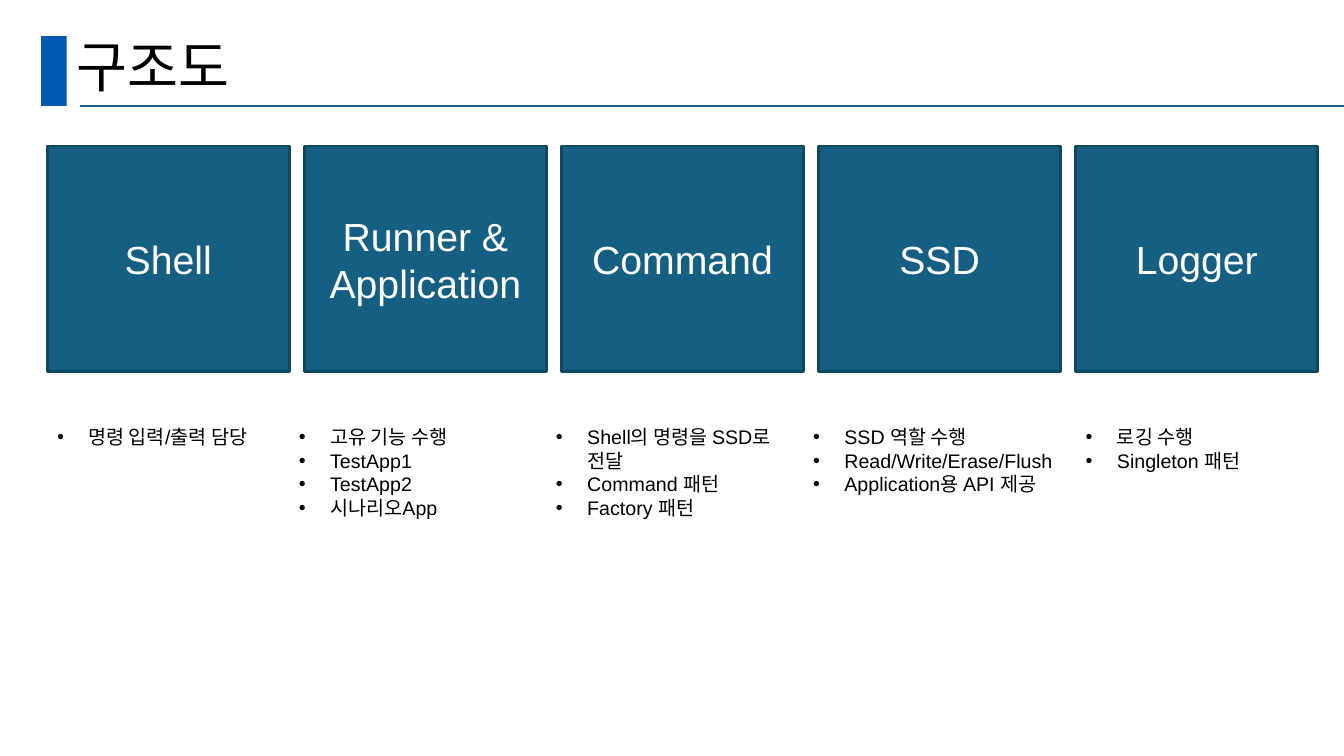
from lxml import etree
from pptx import Presentation
from pptx.dml.color import RGBColor
from pptx.enum.shapes import MSO_CONNECTOR, MSO_SHAPE
from pptx.enum.text import MSO_ANCHOR, MSO_AUTO_SIZE, PP_ALIGN
from pptx.oxml.ns import qn
from pptx.util import Cm, Pt

LEFT, CENTER = PP_ALIGN.LEFT, PP_ALIGN.CENTER
TOP, MIDDLE = MSO_ANCHOR.TOP, MSO_ANCHOR.MIDDLE
NO_AUTOFIT = MSO_AUTO_SIZE.NONE
RECTANGLE, STRAIGHT = MSO_SHAPE.RECTANGLE, MSO_CONNECTOR.STRAIGHT

BLACK = RGBColor(0x00, 0x00, 0x00)
WHITE = RGBColor(0xFF, 0xFF, 0xFF)
ACCENT_BLUE = RGBColor(0x00, 0x5A, 0xB4)
TEAL = RGBColor(0x15, 0x60, 0x82)
DARK_TEAL = RGBColor(0x10, 0x47, 0x60)

LATIN_FONT, KOREAN_FONT = "Arial", "Noto Sans CJK KR"
SLIDE_WIDTH, SLIDE_HEIGHT = Cm(33.87), Cm(19.05)
COLUMN_PITCH, BLOCK_WIDTH, BLOCK_HEIGHT = Cm(6.48), Cm(6.1), Cm(5.69)
LIST_DROP, LIST_WIDTH, LIST_HEIGHT = Cm(6.91), Cm(6.6), Cm(2.64)
BULLET_INDENT, LIST_SHIFT = Cm(0.79), Cm(-0.39)

COMPONENTS = [
    (["Shell"], Cm(0), ["명령 입력/출력 담당"]),
    (["Runner &", "Application"], LIST_SHIFT,
     ["고유 기능 수행", "TestApp1", "TestApp2", "시나리오App"]),
    (["Command"], LIST_SHIFT,
     ["Shell의 명령을 SSD로 전달", "Command 패턴", "Factory 패턴"]),
    (["SSD"], LIST_SHIFT,
     ["SSD 역할 수행", "Read/Write/Erase/Flush", "Application용 API 제공"]),
    (["Logger"], Cm(0), ["로깅 수행", "Singleton 패턴"]),
]


def add_bullet(paragraph):
    """Give a paragraph a hanging bullet."""
    properties = paragraph._p.get_or_add_pPr()
    properties.set("marL", str(BULLET_INDENT))
    properties.set("indent", str(-BULLET_INDENT))
    etree.SubElement(properties, qn("a:buFont"), typeface=LATIN_FONT)
    etree.SubElement(properties, qn("a:buChar"), char="•")


def write_text(shape, lines, size, color, font=LATIN_FONT, alignment=LEFT,
               anchor=TOP, line_spacing=None, bulleted=False):
    """Fill a shape with one formatted paragraph per line."""
    frame = shape.text_frame
    frame.word_wrap = True
    frame.auto_size = NO_AUTOFIT
    frame.vertical_anchor = anchor
    frame.text = "\n".join(lines)
    for paragraph in frame.paragraphs:
        paragraph.alignment = alignment
        paragraph.line_spacing = line_spacing
        if bulleted:
            add_bullet(paragraph)
        run = paragraph.runs[0]
        run.font.size = Pt(size)
        run.font.color.rgb = color
        run.font.name = font
        etree.SubElement(run.font._element, qn("a:ea"), typeface=KOREAN_FONT)


def add_rectangle(slide, left, top, width, height, fill, line=None):
    """Add a flat rectangle, outlined when a line colour is given."""
    shape = slide.shapes.add_shape(RECTANGLE, left, top, width, height)
    shape.shadow.inherit = False
    shape.fill.solid()
    shape.fill.fore_color.rgb = fill
    if line is None:
        shape.line.fill.background()
    else:
        shape.line.color.rgb = line
        shape.line.width = Pt(2)
    return shape


def add_header(slide, left, top, height, text):
    """Place the accent bar, the title and the rule below it."""
    add_rectangle(slide, left, top, Cm(0.64), height, ACCENT_BLUE)
    bottom = top + height
    rule = slide.shapes.add_connector(STRAIGHT, left + Cm(0.97), bottom,
                                      SLIDE_WIDTH, bottom)
    rule.line.color.rgb = TEAL
    rule.line.width = Pt(1.5)
    etree.SubElement(rule._element.spPr, qn("a:effectLst"))
    title = slide.shapes.title
    title.left, title.top = left + Cm(0.64), top - Cm(0.05)
    title.width, title.height = Cm(29.21), Cm(1.8)
    write_text(title, [text], 39.6, BLACK, font=KOREAN_FONT, anchor=MIDDLE,
               line_spacing=0.9)


def add_component(slide, left, top, name_lines, list_shift, duties):
    """Place a component block with the list of its duties below."""
    block = add_rectangle(slide, left, top, BLOCK_WIDTH, BLOCK_HEIGHT,
                          TEAL, DARK_TEAL)
    write_text(block, name_lines, 28, WHITE, alignment=CENTER, anchor=MIDDLE)
    duty_list = slide.shapes.add_textbox(left + list_shift, top + LIST_DROP,
                                         LIST_WIDTH, LIST_HEIGHT)
    write_text(duty_list, duties, 14, BLACK, bulleted=True)


def main():
    """Build the structure slide and save it."""
    presentation = Presentation()
    presentation.slide_width = SLIDE_WIDTH
    presentation.slide_height = SLIDE_HEIGHT
    slide = presentation.slides.add_slide(presentation.slide_layouts[5])
    add_header(slide, Cm(1.04), Cm(0.91), Cm(1.76), "구조도")
    for column, component in enumerate(COMPONENTS):
        add_component(slide, Cm(1.19) + column * COLUMN_PITCH, Cm(3.68),
                      *component)
    presentation.save("out.pptx")


if __name__ == "__main__":
    main()
